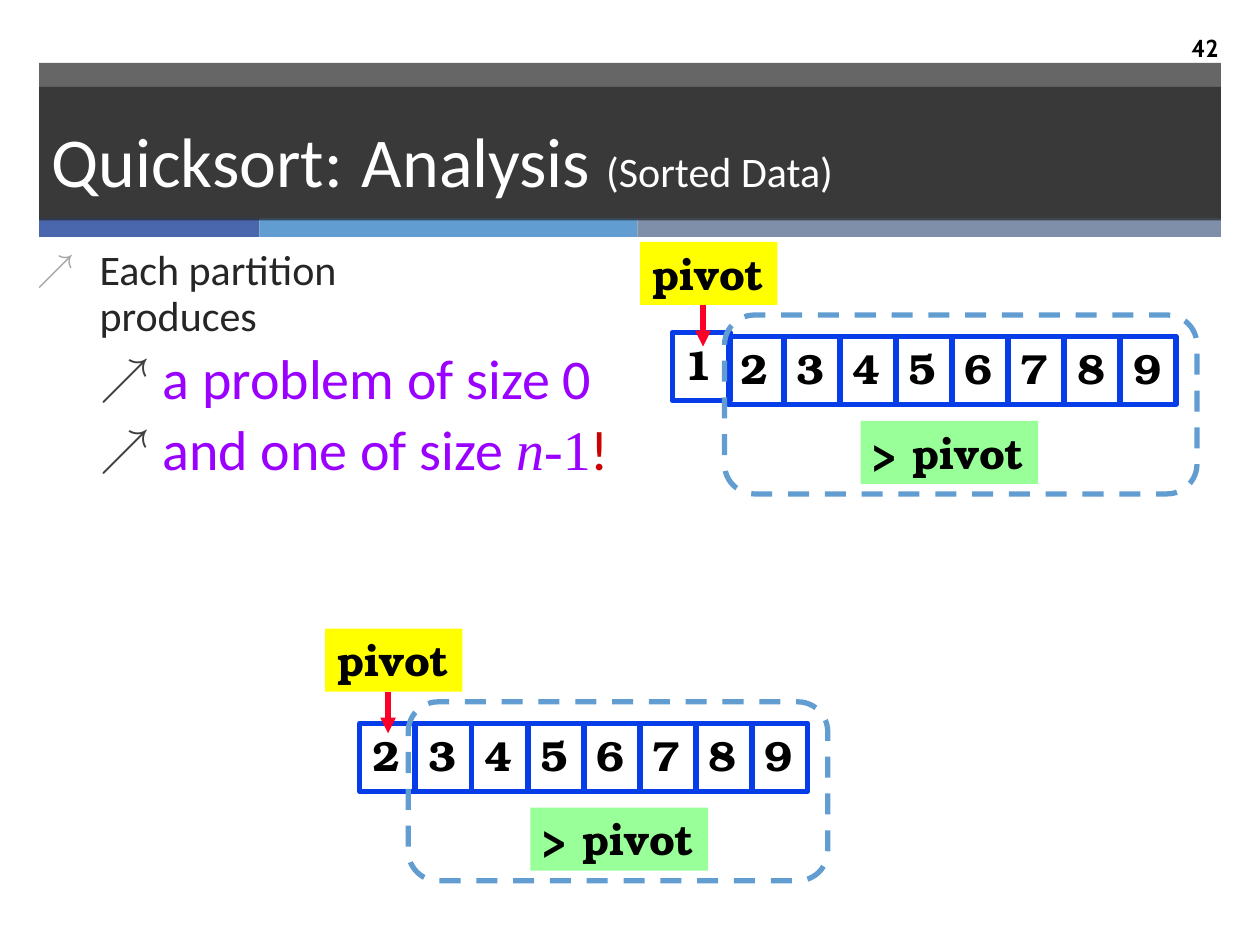
import pptx
import pptx.util
import pptx.dml.color
import pptx.enum.dml
import pptx.enum.shapes
import pptx.enum.text
import pptx.oxml
import pptx.oxml.ns

Inches, Pt = pptx.util.Inches, pptx.util.Pt
RGBColor = pptx.dml.color.RGBColor
ShapeType = pptx.enum.shapes.MSO_SHAPE
Anchor = pptx.enum.text.MSO_ANCHOR
Align = pptx.enum.text.PP_ALIGN
qn = pptx.oxml.ns.qn

BLACK = RGBColor(0x00, 0x00, 0x00)
WHITE = RGBColor(0xFF, 0xFF, 0xFF)
DARK = RGBColor(0x26, 0x26, 0x26)
PURPLE = RGBColor(0x99, 0x00, 0xFF)
RED = RGBColor(0xCC, 0x00, 0x00)
CELL_BLUE = RGBColor(0x06, 0x3D, 0xE8)
FRAME_BLUE = RGBColor(0x62, 0x9D, 0xD1)
ARROW_RED = RGBColor(0xFC, 0x01, 0x28)
YELLOW = RGBColor(0xFF, 0xFF, 0x00)
GREEN = RGBColor(0x99, 0xFF, 0x99)

SANS, SERIF, SLAB = "Calibri", "Times New Roman", "TeX Gyre Bonum"

# Runs: text, size, font, colour, italic
TITLE = [
    ("Quicksort:", 40, SANS, WHITE, False),
    (" ", 48, SANS, WHITE, False),
    ("Analysis ", 40, SANS, WHITE, False),
    ("(Sorted Data)", 24, SANS, WHITE, False),
]
# Paragraphs: level, space before, bullet colour, runs
BODY = [
    (0, 20, "A6A6A6", [("Each partition\vproduces", 24, SANS, DARK, False)]),
    (1, 6, "404040", [("a problem of size 0", 32, SANS, PURPLE, False)]),
    (1, 6, "404040", [
        ("and one of size ", 32, SANS, PURPLE, False),
        ("n-", 32, SERIF, PURPLE, True),
        ("1", 32, SERIF, PURPLE, False),
        ("!", 32, SANS, RED, False),
    ]),
]
STRIPES = [  # width, colour
    (1.75, RGBColor(0x4A, 0x66, 0xAC)),
    (3.00, FRAME_BLUE),
    (4.63, RGBColor(0x7F, 0x8F, 0xA9)),
]
PARTITIONS = [
    dict(left=5.08, top=1.92, values=range(1, 10), cells_left=5.335,
         frame=(5.75, 3.75), greater_left=6.83, first_cell=(0.46, -0.03)),
    dict(left=2.58, top=4.99, values=range(2, 10), cells_left=2.855,
         frame=(3.24, 3.33), greater_left=4.21, first_cell=(0.44, 0)),
]
MARGIN, BAND_WIDTH = 0.31, 9.38
CELL_PITCH, CELL_WIDTH, CELL_HEIGHT = 0.445, 0.44, 0.54
LABEL_HEIGHT = 0.5


def add_runs(paragraph, runs, bold=False):
    for text, size, name, color, italic in runs:
        for index, part in enumerate(text.split("\v")):
            if index:
                paragraph.add_line_break()
            run = paragraph.add_run()
            run.text = part
            run.font.size = Pt(size)
            run.font.name = name
            run.font.color.rgb = color
            run.font.italic = italic
            run.font.bold = bold


def add_box(slide, box, fill=None, line=None, kind=ShapeType.RECTANGLE):
    shape = slide.shapes.add_shape(kind, *map(Inches, box))
    shape.shadow.inherit = False
    if fill is None:
        shape.fill.background()
    else:
        shape.fill.solid()
        shape.fill.fore_color.rgb = fill
    if line is None:
        shape.line.fill.background()
    else:
        shape.line.color.rgb = line
        shape.line.width = Pt(3)
    return shape


def add_label(slide, box, text, fill=None, line=None, wrap=False):
    shape = add_box(slide, box, fill, line)
    frame = shape.text_frame
    frame.word_wrap = wrap
    frame.vertical_anchor = Anchor.TOP
    frame.paragraphs[0].alignment = Align.LEFT
    add_runs(frame.paragraphs[0], [(text, 24, SLAB, BLACK, False)], bold=True)


def fill_translucent(shape):
    shape.fill.solid()
    shape.fill.fore_color.rgb = DARK
    color = shape.element.spPr.find(".//" + qn("a:srgbClr"))
    color.append(pptx.oxml.parse_xml(
        f'<a:alpha {pptx.oxml.ns.nsdecls("a")} val="70000"/>'))


def place(shape, left, top, width, height):
    """Move a placeholder and bring it to the front."""
    shape.left, shape.top = Inches(left), Inches(top)
    shape.width, shape.height = Inches(width), Inches(height)
    shape.element.getparent().append(shape.element)


def set_bullet(paragraph, level, color):
    properties = paragraph._p.get_or_add_pPr()
    properties.set("marL", str(Inches(0.5 * (level + 1))))
    properties.set("indent", str(Inches(-0.5)))
    namespace = pptx.oxml.ns.nsdecls("a")
    for xml in (f'<a:buClr {namespace}><a:srgbClr val="{color}"/></a:buClr>',
                f'<a:buSzPct {namespace} val="90000"/>',
                f'<a:buChar {namespace} char="↗"/>'):
        properties.append(pptx.oxml.parse_xml(xml))


def add_header(slide):
    fill_translucent(add_box(slide, (MARGIN, 0.5, BAND_WIDTH, 1.24), DARK))
    left = MARGIN
    for width, color in STRIPES:
        add_box(slide, (left, 1.73, width, 0.15), color)
        left += width

    number = slide.shapes.add_textbox(*map(Inches, (9.08, 0.18, 0.69, 0.39)))
    number.text_frame.word_wrap = True
    number.text_frame.vertical_anchor = Anchor.MIDDLE
    paragraph = number.text_frame.paragraphs[0]
    paragraph.alignment = Align.RIGHT
    add_runs(paragraph, [("42", 14, "Cabin", BLACK, False)], bold=True)

    title = slide.shapes.title
    place(title, MARGIN, 0.69, BAND_WIDTH, 1.06)
    fill_translucent(title)
    title.text_frame.auto_size = pptx.enum.text.MSO_AUTO_SIZE.NONE
    title.text_frame.vertical_anchor = Anchor.MIDDLE
    title.text_frame.paragraphs[0].alignment = Align.LEFT
    add_runs(title.text_frame.paragraphs[0], TITLE)


def add_body(slide):
    body = slide.placeholders[1]
    place(body, 0.19, 1.93, 5.08, 4.75)
    frame = body.text_frame
    frame.auto_size = pptx.enum.text.MSO_AUTO_SIZE.NONE
    for index, (level, space, bullet_color, runs) in enumerate(BODY):
        paragraph = frame.add_paragraph() if index else frame.paragraphs[0]
        paragraph.level = level
        paragraph.line_spacing = 0.9
        paragraph.space_before = Pt(space)
        set_bullet(paragraph, level, bullet_color)
        add_runs(paragraph, runs)


def add_arrow(slide, x, top, bottom):
    arrow = slide.shapes.add_connector(
        pptx.enum.shapes.MSO_CONNECTOR.STRAIGHT,
        Inches(x), Inches(top), Inches(x), Inches(bottom))
    arrow.line.color.rgb = ARROW_RED
    arrow.line.width = Pt(3)
    namespace = pptx.oxml.ns.nsdecls("a")
    arrow.line._get_or_add_ln().append(
        pptx.oxml.parse_xml(f'<a:tailEnd {namespace} type="triangle"/>'))
    arrow.element.spPr.append(pptx.oxml.parse_xml(f"<a:effectLst {namespace}/>"))


def add_partition(slide, left, top, values, cells_left, frame, greater_left, first_cell):
    """Draw an array with its pivot label and the framed part above the pivot."""
    for column, value in enumerate(values):
        width, shift = (CELL_WIDTH, 0) if column else first_cell
        box = (cells_left + column * CELL_PITCH, top + 0.75 + shift, width, CELL_HEIGHT)
        add_label(slide, box, str(value), line=CELL_BLUE, wrap=True)
    frame_left, frame_width = frame
    outline = add_box(slide, (frame_left, top + 0.58, frame_width, 1.42),
                      line=FRAME_BLUE, kind=ShapeType.ROUNDED_RECTANGLE)
    outline.line.dash_style = pptx.enum.dml.MSO_LINE.DASH
    add_label(slide, (greater_left, top + 1.42, 1.41, LABEL_HEIGHT), "> pivot", GREEN)
    add_label(slide, (left, top, 1.09, LABEL_HEIGHT), "pivot", YELLOW)
    add_arrow(slide, left + 0.5, top + LABEL_HEIGHT, top + 0.83)


def main():
    presentation = pptx.Presentation()
    presentation.slide_width, presentation.slide_height = Inches(10), Inches(7.5)
    slide = presentation.slides.add_slide(presentation.slide_layouts[1])
    add_header(slide)
    add_body(slide)
    for partition in PARTITIONS:
        add_partition(slide, **partition)
    presentation.save("out.pptx")


if __name__ == "__main__":
    main()
